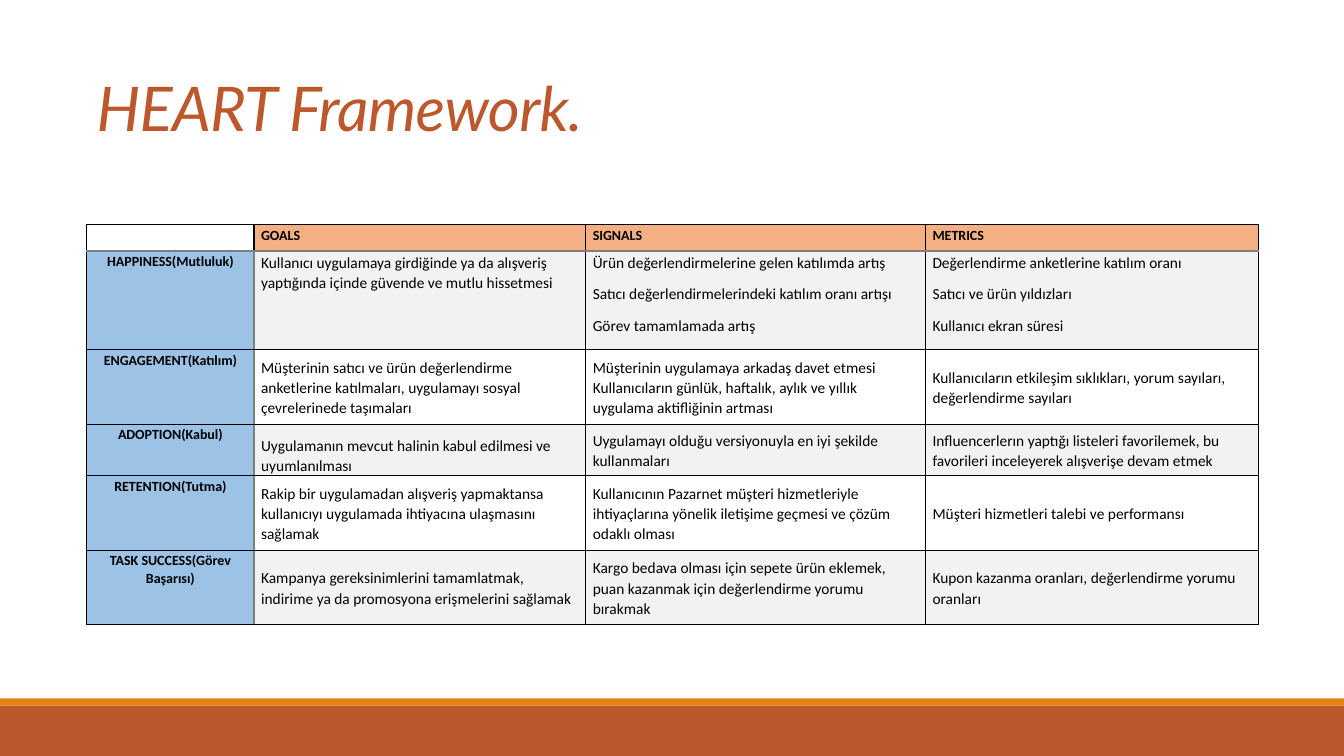
import lxml.etree
import pptx
import pptx.dml.color
import pptx.enum.shapes
import pptx.enum.text
import pptx.oxml.ns
import pptx.util

COLORS = {
    "rust": "BD582C", "orange": "E48312", "header": "F4B083", "label": "9CC2E5",
    "band": "F2F2F2", "white": "FFFFFF", "black": "000000", "gray": "7F7F7F",
}
ANCHOR = pptx.enum.text.MSO_ANCHOR
ALIGN = pptx.enum.text.PP_ALIGN
inches = pptx.util.Inches
qn = pptx.oxml.ns.qn


def rgb(name):
    return pptx.dml.color.RGBColor.from_string(COLORS[name])


def set_borders(cell, left, right, top, bottom):
    properties = cell._tc.get_or_add_tcPr()
    edges = (("a:lnL", left), ("a:lnR", right), ("a:lnT", top), ("a:lnB", bottom))
    for index, (tag, color) in enumerate(edges):
        line = lxml.etree.Element(qn(tag), w=str(pptx.util.Pt(1)))
        fill = lxml.etree.SubElement(line, qn("a:solidFill"))
        lxml.etree.SubElement(fill, qn("a:srgbClr"), val=COLORS[color])
        properties.insert(index, line)


# Deck and page
deck = pptx.Presentation()
deck.slide_width, deck.slide_height = inches(13.33), inches(7.5)
page = deck.slides.add_slide(deck.slide_layouts[6])
LEFT = 0.86

# Footer bands
for top, height, color in ((7, 0.5, "rust"), (6.93, 0.07, "orange")):
    band = page.shapes.add_shape(
        pptx.enum.shapes.MSO_SHAPE.RECTANGLE,
        0, inches(top), deck.slide_width, inches(height))
    band.shadow.inherit = False
    band.fill.solid()
    band.fill.fore_color.rgb = rgb(color)
    band.line.fill.background()

# Title
title = page.shapes.add_textbox(inches(LEFT), inches(0.63), inches(10.53), inches(0.98))
title.text_frame.word_wrap = True
title.text_frame.vertical_anchor = ANCHOR.MIDDLE
para = title.text_frame.paragraphs[0]
para.text = "HEART Framework."
para.line_spacing = 0.85
span = para.runs[0]
span.font.name = "Lato"
span.font.size = pptx.util.Pt(44)
span.font.italic = True
span.font.color.rgb = rgb("rust")
span._r.get_or_add_rPr().set("spc", "-50")

# Table content: \n starts a paragraph, \v breaks a line
ROWS = [
    ("", "GOALS", "SIGNALS", "METRICS"),
    ("HAPPINESS(Mutluluk)",
     "Kullanıcı uygulamaya girdiğinde ya da alışveriş yaptığında içinde güvende ve mutlu hissetmesi",
     "Ürün değerlendirmelerine gelen katılımda artış\n"
     "Satıcı değerlendirmelerindeki katılım oranı artışı\n"
     "Görev tamamlamada artış",
     "Değerlendirme anketlerine katılım oranı\nSatıcı ve ürün yıldızları\nKullanıcı ekran süresi"),
    ("ENGAGEMENT(Katılım)",
     "Müşterinin satıcı ve ürün değerlendirme anketlerine katılmaları, "
     "uygulamayı sosyal çevrelerinede taşımaları",
     "Müşterinin uygulamaya arkadaş davet etmesi\v"
     "Kullanıcıların günlük, haftalık, aylık ve yıllık uygulama aktifliğinin artması",
     "Kullanıcıların etkileşim sıklıkları, yorum sayıları, değerlendirme sayıları"),
    ("ADOPTION(Kabul)",
     "Uygulamanın mevcut halinin kabul edilmesi ve uyumlanılması",
     "Uygulamayı olduğu versiyonuyla en iyi şekilde kullanmaları",
     "Influencerlerın yaptığı listeleri favorilemek, bu favorileri inceleyerek alışverişe devam etmek"),
    ("RETENTION(Tutma)",
     "Rakip bir uygulamadan alışveriş yapmaktansa kullanıcıyı uygulamada ihtiyacına ulaşmasını sağlamak",
     "Kullanıcının Pazarnet müşteri hizmetleriyle ihtiyaçlarına yönelik iletişime geçmesi "
     "ve çözüm odaklı olması",
     "Müşteri hizmetleri talebi ve performansı"),
    ("TASK SUCCESS(Görev Başarısı)",
     "Kampanya gereksinimlerini tamamlatmak, indirime ya da promosyona erişmelerini sağlamak",
     "Kargo bedava olması için sepete ürün eklemek, puan kazanmak için değerlendirme yorumu bırakmak",
     "Kupon kazanma oranları, değerlendirme yorumu oranları"),
]
COLUMN_WIDTHS = (1.66, 3.29, 3.37, 3.3)
ROW_HEIGHTS = (0.26, 0.98, 0.74, 0.51, 0.74, 0.74)

# Table grid
table = page.shapes.add_table(
    len(ROWS), len(COLUMN_WIDTHS), inches(LEFT), inches(2.23),
    inches(sum(COLUMN_WIDTHS)), inches(sum(ROW_HEIGHTS))).table
table.first_row = table.horz_banding = False
for column, width in zip(table.columns, COLUMN_WIDTHS):
    column.width = inches(width)
for row, height in zip(table.rows, ROW_HEIGHTS):
    row.height = inches(height)

# Table cells
for r, texts in enumerate(ROWS):
    for c, text in enumerate(texts):
        cell = table.cell(r, c)
        is_header, is_label = r == 0, c == 0
        if is_header:
            color = "white" if is_label else "header"
        elif is_label:
            color = "label"
        else:
            color = "band" if r % 2 else "white"
        cell.fill.solid()
        cell.fill.fore_color.rgb = rgb(color)
        set_borders(
            cell,
            left="gray" if c == 1 and not is_header else "black",
            right="gray" if is_label and not is_header else "black",
            top="gray" if r == 1 else "black",
            bottom="gray" if is_header else "black")

        cell.margin_left = cell.margin_right = inches(0.07)
        cell.margin_top, cell.margin_bottom = inches(0.01), 0
        cell.vertical_anchor = ANCHOR.TOP if r < 2 or is_label else ANCHOR.MIDDLE
        cell.text_frame.text = text
        for para in cell.text_frame.paragraphs:
            para.alignment = ALIGN.CENTER if is_label else ALIGN.LEFT
            para.line_spacing = 1.07
            para.space_after = pptx.util.Pt(8)
            for span in para.runs:
                span.font.name = "Calibri"
                span.font.size = pptx.util.Pt(10 if is_header or is_label else 11)
                span.font.bold = is_header or is_label
                span.font.color.rgb = rgb("black")

# Exceptions: one bottom-anchored cell, and a small font in the empty corner
table.cell(3, 1).vertical_anchor = ANCHOR.BOTTOM
corner = table.cell(0, 0).text_frame.paragraphs[0]
lxml.etree.SubElement(corner._p, qn("a:endParaRPr"), sz="1000")

deck.save("out.pptx")
